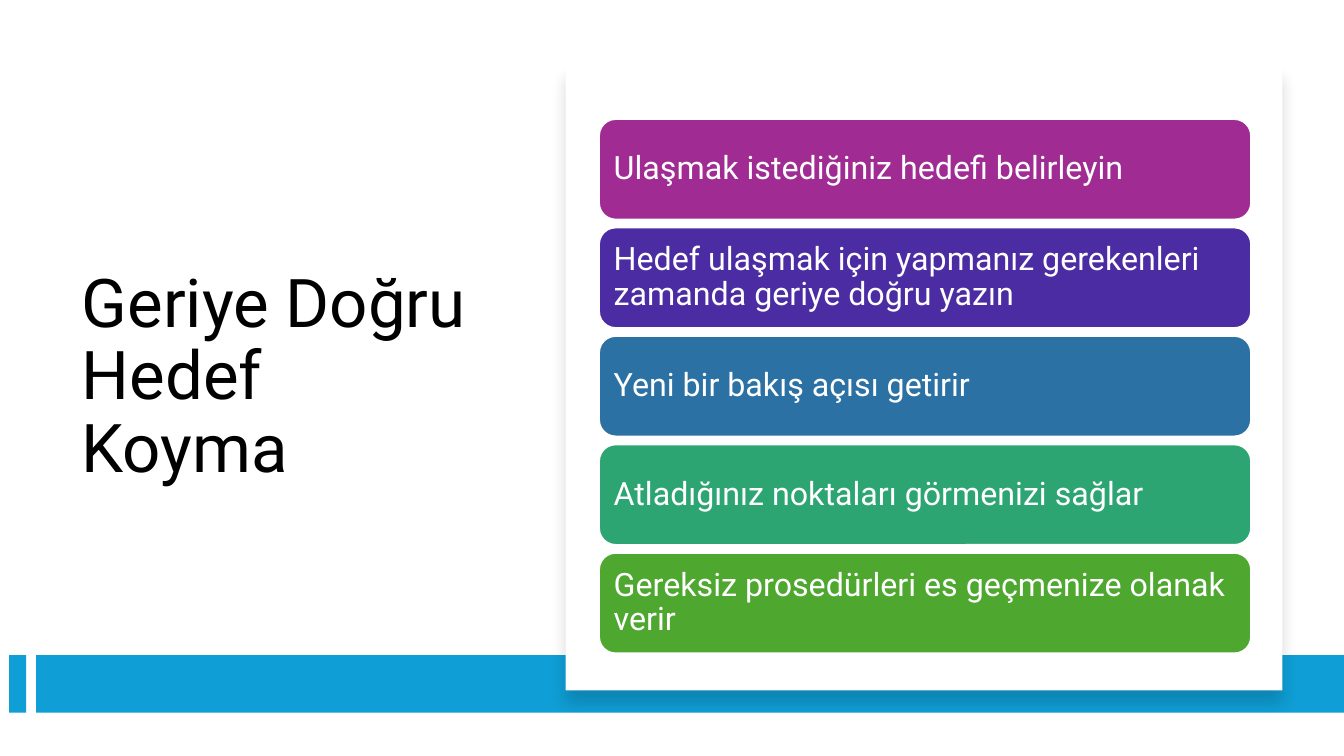
"""Build the backward goal setting slide."""
from lxml.etree import SubElement
from pptx import Presentation
from pptx.dml.color import RGBColor
from pptx.enum.shapes import MSO_SHAPE as Shape
from pptx.enum.text import MSO_ANCHOR as Anchor, MSO_AUTO_SIZE as AutoSize, PP_ALIGN as Align
from pptx.oxml.ns import qn
from pptx.util import Inches, Pt

FONT = "Roboto"
WHITE, BLACK, BLUE = "FFFFFF", "000000", "0F9ED5"
TITLE = "Geriye Doğru Hedef Koyma"
STEPS = [
    ("Ulaşmak istediğiniz hedefi belirleyin", "A02B93"),
    ("Hedef ulaşmak için yapmanız gerekenleri zamanda geriye doğru yazın", "4B2CA2"),
    ("Yeni bir bakış açısı getirir", "2C71A4"),
    ("Atladığınız noktaları görmenizi sağlar", "2DA573"),
    ("Gereksiz prosedürleri es geçmenize olanak verir", "4EA72E"),
]
BAND_TOP, BAND_HEIGHT = 6.5, 0.57
BAND_PARTS = [(0.09, 0.17), (0.36, 12.97)]
PANEL = (5.61, 0.64, 7.11, 6.21)
STEP_LEFT, STEP_TOP, STEP_WIDTH, STEP_HEIGHT = 5.94, 1.18, 6.47, 1
STEP_PITCH = 1.076


def color(value):
    return RGBColor.from_string(value)


def add_block(slide, kind, box, fill, outline=None):
    block = slide.shapes.add_shape(kind, *map(Inches, box))
    block.shadow.inherit = False
    block.fill.solid()
    block.fill.fore_color.rgb = color(fill)
    if outline:
        block.line.color.rgb = color(outline)
        block.line.width = Pt(1.5)
    else:
        block.line.fill.background()
    return block


def add_shadow(block, blur, distance, opacity):
    effects = block._element.spPr.find(qn("a:effectLst"))
    shadow = SubElement(effects, qn("a:outerShdw"), blurRad=str(Pt(blur)),
                        dist=str(Pt(distance)), dir="5400000", algn="t", rotWithShape="0")
    tint = SubElement(shadow, qn("a:srgbClr"), val=BLACK)
    SubElement(tint, qn("a:alpha"), val=str(opacity * 1000))


def write(shape, text, size, ink):
    frame = shape.text_frame
    frame.text = text
    frame.word_wrap = True
    frame.auto_size = AutoSize.NONE
    frame.vertical_anchor = Anchor.MIDDLE
    paragraph = frame.paragraphs[0]
    paragraph.alignment = Align.LEFT
    paragraph.line_spacing = 0.9
    paragraph.font.name = FONT
    paragraph.font.size = Pt(size)
    paragraph.font.color.rgb = color(ink)
    return frame


def main():
    deck = Presentation()
    deck.slide_width, deck.slide_height = Inches(13.33), Inches(7.5)
    slide = deck.slides.add_slide(deck.slide_layouts[5])

    title = slide.shapes.title
    title.left, title.top, title.width, title.height = map(Inches, (0.71, 1.2, 4.15, 5.1))
    write(title, TITLE, 48, BLACK)

    for left, width in BAND_PARTS:
        add_block(slide, Shape.RECTANGLE, (left, BAND_TOP, width, BAND_HEIGHT), BLUE)
    add_shadow(add_block(slide, Shape.RECTANGLE, PANEL, WHITE), 11, 10, 15)

    for row, (text, fill) in enumerate(STEPS):
        box = (STEP_LEFT, STEP_TOP + row * STEP_PITCH, STEP_WIDTH, STEP_HEIGHT)
        step = add_block(slide, Shape.ROUNDED_RECTANGLE, box, fill, WHITE)
        frame = write(step, text, 23, WHITE)
        frame.margin_left = frame.margin_right = Inches(0.1)

    deck.save("out.pptx")


if __name__ == "__main__":
    main()
